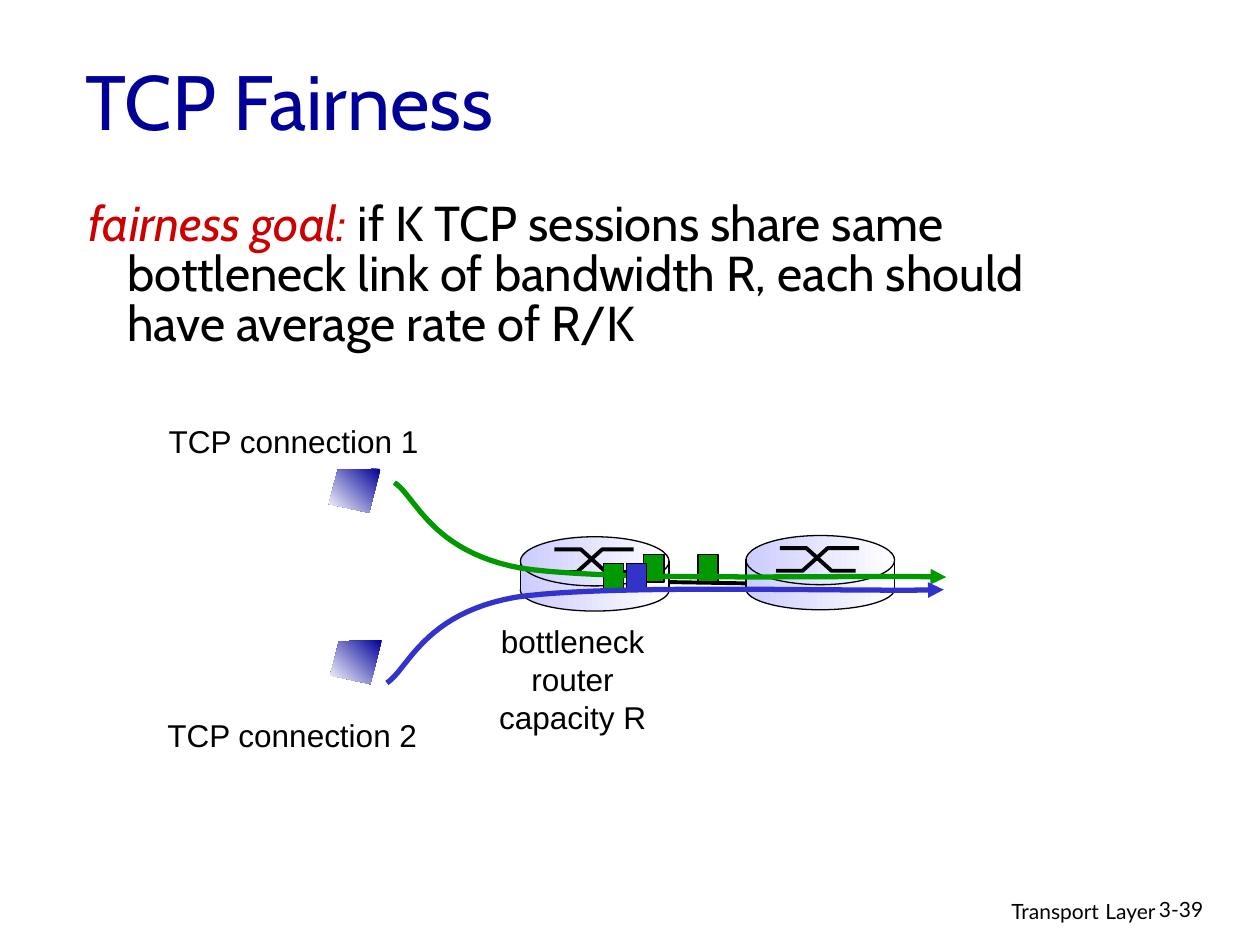
"""Build the TCP fairness slide with its bottleneck router diagram."""
from dataclasses import dataclass

from lxml import etree
from pptx import Presentation
from pptx import util as u
from pptx.dml.color import RGBColor
from pptx.enum import shapes, text
from pptx.oxml import ns
from pptx.slide import Slide

BLACK = RGBColor(0, 0, 0)
WHITE = RGBColor(255, 255, 255)
NAVY = RGBColor(0, 0, 0x99)
RED = RGBColor(0xCC, 0, 0)
GREEN = RGBColor(0, 0x99, 0)
BLUE = RGBColor(0x33, 0x33, 0xCC)
LAVENDER = RGBColor(0xCC, 0xCC, 0xFF)
LEFT, CENTER, RIGHT = text.PP_ALIGN.LEFT, text.PP_ALIGN.CENTER, text.PP_ALIGN.RIGHT
OVAL, RECT = shapes.MSO_SHAPE.OVAL, shapes.MSO_SHAPE.RECTANGLE


def bezier(start, *curves, steps=24):
    points = [start]
    for a, b, end in curves:
        first = points[-1]
        for step in range(1, steps + 1):
            t = step / steps
            s = 1 - t
            points.append(tuple(
                s**3 * p + 3 * s * s * t * q + 3 * s * t * t * r + t**3 * e
                for p, q, r, e in zip(first, a, b, end)))
    return points


@dataclass
class Painter:
    page: Slide
    heading_font: str = "Cabin"
    label_font: str = "Arial"
    footer_font: str = "Lato"

    def place(self, shape, left, top, width, height):
        shape.left, shape.top = u.Inches(left), u.Inches(top)
        shape.width, shape.height = u.Inches(width), u.Inches(height)

    def style_span(self, span, font, size, color=BLACK, italic=False):
        span.font.name, span.font.size = font, u.Pt(size)
        span.font.color.rgb, span.font.italic = color, italic

    def title(self, wording):
        box = self.page.shapes.title
        self.place(box, 0.58, 0.17, 8.5, 1.25)
        frame = box.text_frame
        frame.text = wording
        frame.vertical_anchor = text.MSO_ANCHOR.MIDDLE
        frame.paragraphs[0].alignment = LEFT
        self.style_span(frame.paragraphs[0].runs[0], self.heading_font, 44, NAVY)

    def body(self, lead, rest):
        box = self.page.placeholders[1]
        self.place(box, 0.6, 1.55, 8.33, 2.4)
        para = box.text_frame.paragraphs[0]
        properties = para._p.get_or_add_pPr()
        properties.set("marL", str(u.Inches(0.31)))
        properties.set("indent", str(u.Inches(-0.31)))
        etree.SubElement(properties, ns.qn("a:buNone"))
        para.line_spacing, para.space_before = 0.85, u.Pt(0)
        for wording, color, italic in ((lead, RED, True), (rest, BLACK, False)):
            span = para.add_run()
            span.text = wording
            self.style_span(span, self.heading_font, 28, color, italic)

    def label(self, wording, area, font, size, align=LEFT, wrap=False):
        box = self.page.shapes.add_textbox(*map(u.Inches, area))
        frame = box.text_frame
        frame.text, frame.word_wrap = wording, wrap
        for para in frame.paragraphs:
            para.alignment = align
            for span in para.runs:
                self.style_span(span, font, size)
        return box

    def footer(self, words, number):
        box = self.label("", (6.1, 7.05, 3.17, 0.31), self.footer_font, 12, RIGHT, True)
        first, second = words
        for wording, size in ((first, 12), (" ", 14), (second, 12)):
            span = box.text_frame.paragraphs[0].add_run()
            span.text = wording
            self.style_span(span, self.footer_font, size)
        self.label(number, (9.1, 7.07, 0.74, 0.3), self.footer_font, 12, wrap=True)

    def gradient(self, shape, start, angle):
        shape.fill.gradient()
        shape.fill.gradient_angle = angle
        for stop, color, position in zip(shape.fill.gradient_stops, (start, WHITE), (0, 1)):
            stop.color.rgb, stop.position = color, position

    def outline(self, shape, color, weight):
        shape.line.color.rgb, shape.line.width = color, u.Pt(weight)

    def block(self, kind, area, fill=None, outlined=True):
        shape = self.page.shapes.add_shape(kind, *map(u.Inches, area))
        shape.shadow.inherit = False
        if fill is None:
            self.gradient(shape, LAVENDER, 0)
        else:
            shape.fill.solid()
            shape.fill.fore_color.rgb = fill
        if outlined:
            self.outline(shape, BLACK, 0.75)
        else:
            shape.line.fill.background()

    def line(self, start, end, weight):
        ends = map(u.Inches, (*start, *end))
        link = self.page.shapes.add_connector(shapes.MSO_CONNECTOR.STRAIGHT, *ends)
        self.outline(link, BLACK, weight)
        etree.SubElement(link._element.spPr, ns.qn("a:effectLst"))

    def outline_shape(self, points, close=False):
        first, *others = [(u.Inches(x), u.Inches(y)) for x, y in points]
        builder = self.page.shapes.build_freeform(*first, scale=1.0)
        builder.add_line_segments(others, close=close)
        shape = builder.convert_to_shape()
        shape.shadow.inherit = False
        return shape

    def path_line(self, points, color, weight, arrow=False):
        shape = self.outline_shape(points)
        shape.fill.background()
        self.outline(shape, color, weight)
        if arrow:
            stroke = shape._element.spPr.find(ns.qn("a:ln"))
            etree.SubElement(stroke, ns.qn("a:round"))
            etree.SubElement(stroke, ns.qn("a:tailEnd"), type="triangle")

    def host(self, left, top):
        corners = ((0.41, 0), (0.07, 0.01), (0, 0.28), (0.32, 0.35))
        shape = self.outline_shape([(left + x, top + y) for x, y in corners], close=True)
        self.gradient(shape, NAVY, 225)
        shape.line.fill.background()

    def router(self, left, top):
        width = 1.18
        self.block(OVAL, (left, top + 0.26, width, 0.33))
        self.block(RECT, (left, top + 0.23, width, 0.2), outlined=False)
        self.block(OVAL, (left, top, width, 0.39))
        high, low = top + 0.1, top + 0.28
        for offsets, start, end in (((0.24, 0.45, 0.65, 0.9), low, high),
                                    ((0.27, 0.48, 0.68, 0.87), high, low)):
            heights = (start, start, end, end)
            self.path_line([(left + x, y) for x, y in zip(offsets, heights)], BLACK, 2.25)
        for side in (left, left + width):
            self.line((side, top + 0.19), (side, top + 0.44), 0.75)

    def packet(self, left, top, color):
        self.block(RECT, (left, top, 0.16, 0.22), color)


def main():
    deck = Presentation()
    deck.slide_width, deck.slide_height = u.Inches(10), u.Inches(7.5)
    painter = Painter(deck.slides.add_slide(deck.slide_layouts[1]))
    painter.title("TCP Fairness")
    painter.body("fairness goal:", " if K TCP sessions share same bottleneck link of "
                 "bandwidth R, each should have average rate of R/K")
    painter.footer(("Transport", "Layer"), "3-39")

    painter.line((5.31, 4.62), (5.92, 4.63), 2.25)
    painter.router(4.13, 4.26)
    painter.router(5.92, 4.25)
    for left, top in ((5.54, 4.4), (4.79, 4.47), (5.11, 4.4)):
        painter.packet(left, top, GREEN)
    for wording, area, align in (
            ("TCP connection 1", (1.24, 3.3, 2.19, 0.4), LEFT),
            ("bottleneck\nrouter\ncapacity R", (3.86, 4.89, 1.37, 1), CENTER),
            ("TCP connection 2", (1.23, 5.63, 2.19, 0.4), LEFT)):
        painter.label(wording, area, painter.label_font, 18, align)

    green_flow = bezier((3.13, 3.83), ((3.3, 3.94), (3.42, 4.38), (4.14, 4.51)),
                        ((4.87, 4.62), (6.81, 4.56), (7.51, 4.58)))
    blue_flow = bezier((3.07, 5.42), ((3.24, 5.31), (3.36, 4.87), (4.09, 4.74)),
                       ((4.83, 4.63), (6.79, 4.7), (7.49, 4.68)))
    painter.path_line(green_flow, GREEN, 3, arrow=True)
    painter.packet(4.97, 4.47, BLUE)
    painter.path_line(blue_flow, BLUE, 3, arrow=True)
    painter.host(2.61, 3.72)
    painter.host(2.62, 5.08)
    deck.save("out.pptx")


if __name__ == "__main__":
    main()
